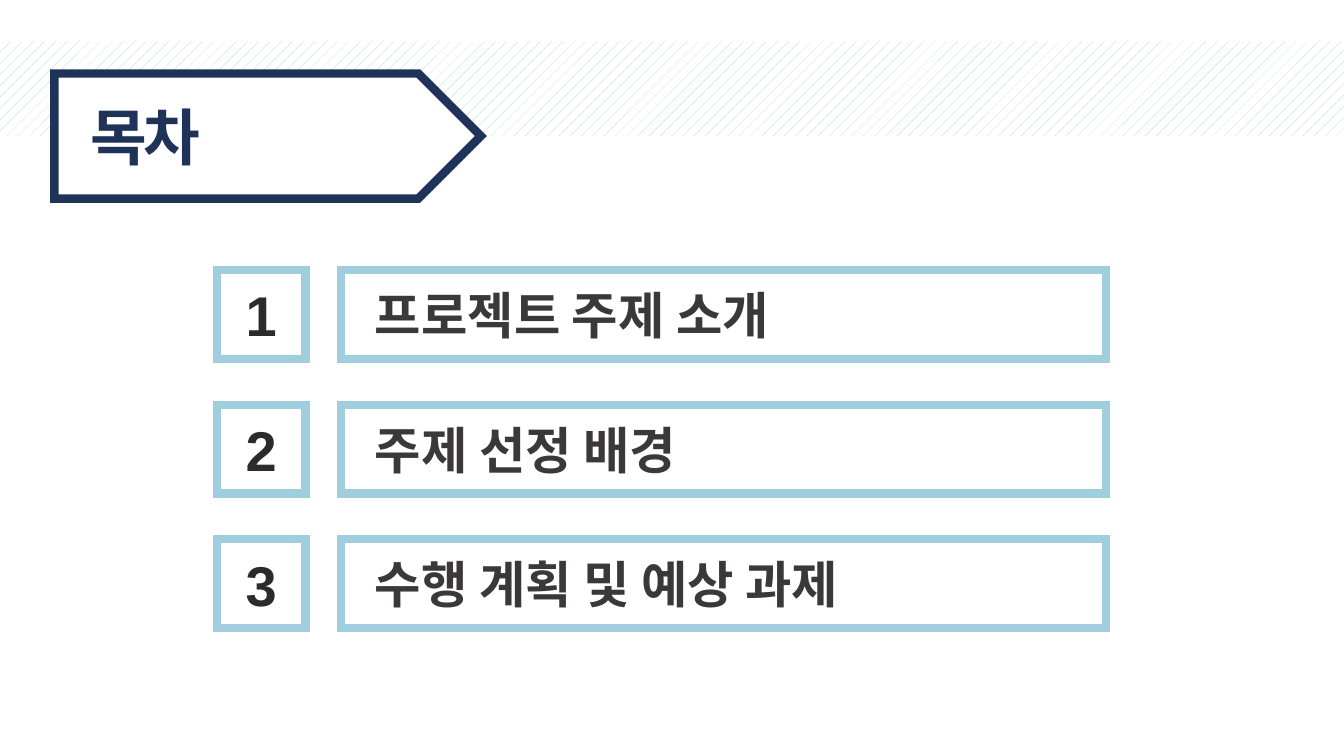
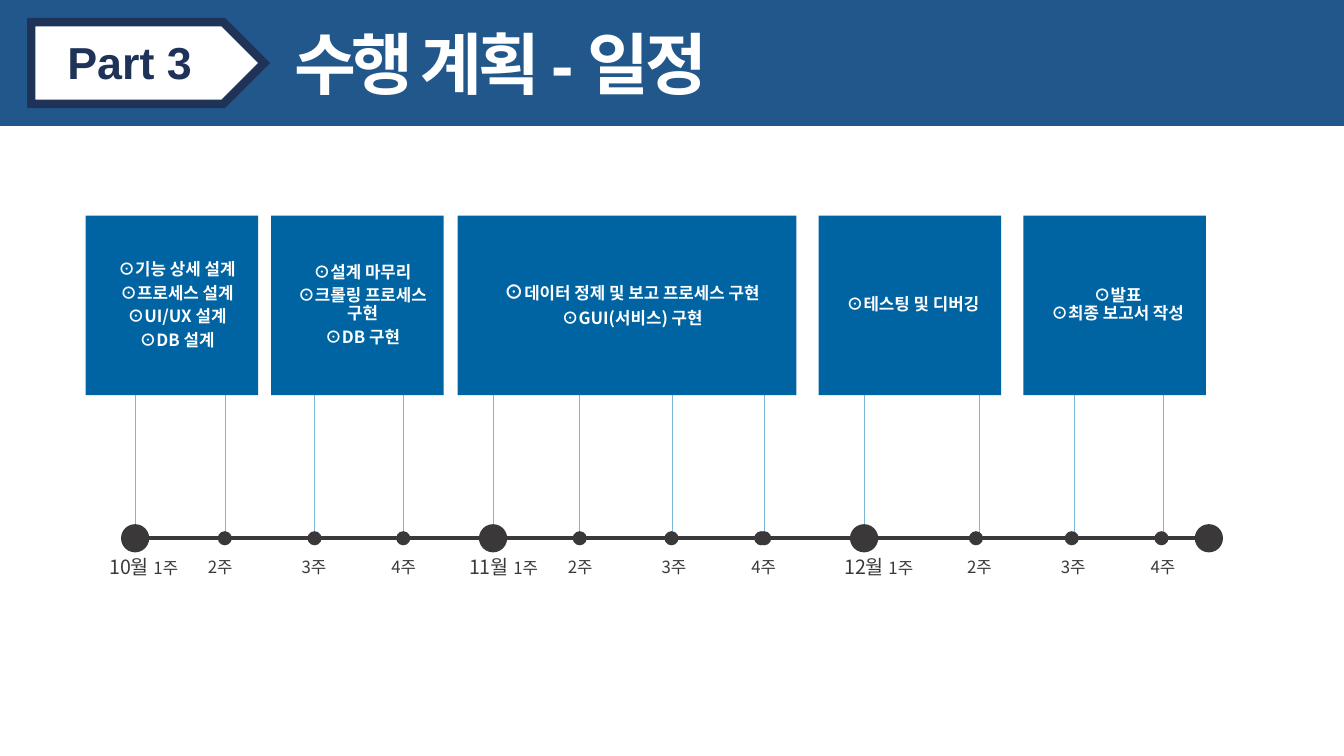
"""Build a contents slide and a project schedule slide."""
from copy import deepcopy

from lxml import etree
from pptx import Presentation
from pptx.dml.color import RGBColor
from pptx.enum.dml import MSO_PATTERN
from pptx.enum.shapes import MSO_CONNECTOR, MSO_SHAPE
from pptx.enum.text import MSO_ANCHOR, PP_ALIGN
from pptx.oxml.ns import qn
from pptx.util import Inches, Pt

RECT, PLATE, OVAL = MSO_SHAPE.RECTANGLE, MSO_SHAPE.PENTAGON, MSO_SHAPE.OVAL
STRAIGHT = MSO_CONNECTOR.STRAIGHT
DOTTED = MSO_PATTERN.PERCENT_10
TOP, MIDDLE = MSO_ANCHOR.TOP, MSO_ANCHOR.MIDDLE
LEFT, CENTER = PP_ALIGN.LEFT, PP_ALIGN.CENTER
ARIAL, NOTO = "Arial", "Noto Sans CJK KR"
COLORS = {name: RGBColor.from_string(value) for name, value in {
    "white": "FFFFFF", "navy": "1F3359", "sky": "A0CEDE", "band": "22578B",
    "task": "0064A2", "tick": "7BB6D4", "dark": "3A3838", "number": "2C2A2A",
}.items()}
UNIT = Inches(1)
PAGE_W, PAGE_H = 13.33, 7.5


def box(s, kind, x, y, w, h, fill="white", line=None):
    sp = s.shapes.add_shape(kind, *(int(v * UNIT) for v in (x, y, w, h)))
    sp.shadow.inherit = False
    sp.fill.solid()
    sp.fill.fore_color.rgb = COLORS[fill]
    if line:
        sp.line.color.rgb = COLORS[line]
        sp.line.width = Pt(6)
        etree.SubElement(sp.line._ln, qn("a:miter")).set("lim", "800000")
    else:
        sp.line.fill.background()
    return sp


def text(target, words, sizes, color, at=None, font=ARIAL, bold=True, align=LEFT,
         anchor=TOP, insets=(0.1, 0.05, 0.1, 0.05), wrap=False, leading=None,
         before=0, tracking=None):
    sp = target.shapes.add_textbox(*(int(v * UNIT) for v in at)) if at else target
    tf = sp.text_frame
    tf.word_wrap, tf.vertical_anchor = wrap, anchor
    tf.margin_left, tf.margin_top, tf.margin_right, tf.margin_bottom = (
        Inches(v) for v in insets)
    for i, row in enumerate(words.split("\n")):
        p = tf.paragraphs[0] if i == 0 else tf.add_paragraph()
        p.alignment, p.line_spacing, p.space_before = align, leading, Pt(before)
        runs = row.split("|")
        for run, size in zip(runs, sizes[-len(runs):]):
            for j, part in enumerate(run.split("\v")):
                if j:
                    p.add_line_break()
                    p._p[-1].append(deepcopy(r._r.rPr))
                r = p.add_run()
                r.text = part
                r.font.name, r.font.size, r.font.bold = font, Pt(size), bold
                r.font.color.rgb = COLORS[color]
                rpr = r._r.rPr
                etree.SubElement(rpr, qn("a:ea")).set("typeface", NOTO)
                if tracking:
                    rpr.set("spc", str(tracking * 100))


prs = Presentation()
prs.slide_width, prs.slide_height = Inches(PAGE_W), Inches(PAGE_H)
contents, schedule = (prs.slides.add_slide(prs.slide_layouts[6]) for _ in range(2))

stripe = box(contents, RECT, 0, 0.41, PAGE_W, 0.94)
stripe.fill.patterned()
stripe.fill.pattern = DOTTED
stripe.fill.fore_color.rgb = COLORS["sky"]
stripe.fill.back_color.rgb = COLORS["white"]
box(schedule, RECT, 0, 0, PAGE_W, PAGE_H / 6, "band")

for s, plate, words, at, size, tracking in [
    (contents, (0.54, 0.73, 4.23, 1.24), "목차", (0.8, 0.93, 1.35, 0.84), 44, -3),
    (schedule, (0.31, 0.22, 2.31, 0.81), "Part 3", (0.57, 0.3, 1.45, 0.64), 32, None),
]:
    box(s, PLATE, *plate, line="navy")
    text(s, words, [size], "navy", at, tracking=tracking)

TOPICS = [("프로젝트 주제 소개", 4.52), ("주제 선정 배경", 3.51),
          ("수행 계획 및 예상 과제", 5.31)]
for i, (topic, width) in enumerate(TOPICS):
    y = 2.68 + i * 1.335
    number = box(contents, RECT, 2.15, y, 0.88, 0.88, line="sky")
    text(number, str(i + 1), [40], "number", align=CENTER, anchor=MIDDLE)
    box(contents, RECT, 3.38, y, 7.59, 0.88, line="sky")
    text(contents, topic, [36], "dark", (3.62, y + 0.09, width, 0.71))

text(schedule, "수행 계획 - 일정", [48], "white", (2.82, 0.17, 4.79, 0.91), tracking=-3)

TASK_Y, TASK_H, AXIS_Y = 2.14, 1.78, 5.34
BIG, SMALL = 0.28, 0.14
MONTHS = [
    ("10월", 0.98, 1.82, [1.34, 2.24, 3.12, 4], [1.34, 2.23, 3.12, 4]),
    ("11월", 4.55, 5.39, [4.89, 5.75, 6.67, 7.58], [4.89, 5.75, 6.66, 7.55, 7.58]),
    ("12월", 8.27, 9.35, [8.57, 9.71, 10.66, 11.54], [8.57, 9.68, 10.63, 11.52]),
]
AXIS_START, AXIS_END = 1.34, 11.99
lines = [(x, AXIS_Y, x, TASK_Y + TASK_H, "tick", 0.5)
         for month in MONTHS for x in month[3]]
lines.append((AXIS_START, AXIS_Y, AXIS_END, AXIS_Y, "dark", 2.84))
for *ends, color, width in lines:
    cn = schedule.shapes.add_connector(STRAIGHT, *(int(v * UNIT) for v in ends))
    cn.line.color.rgb = COLORS[color]
    cn.line.width = Pt(width)
    etree.SubElement(cn._element.spPr, qn("a:effectLst"))

dots = [(AXIS_END, BIG)]
label = dict(font=NOTO, bold=False, align=CENTER, anchor=MIDDLE, insets=(0, 0, 0, 0),
             wrap=True, leading=0.9, before=10)
for month, month_x, week_x, _, (first, *others) in MONTHS:
    dots += [(first, BIG)] + [(x, SMALL) for x in others]
    text(schedule, f"{month} |1주", [14, 12], "dark", (month_x, 5.49, 0.89, 0.29), **label)
    for week, shift in enumerate((0, 0.93, 1.82), 2):
        text(schedule, f"{week}주", [12], "dark", (week_x + shift, 5.49, 0.73, 0.29), **label)
for x, size in dots:
    box(schedule, OVAL, x - size / 2, AXIS_Y - size / 2, size, size, "dark")

TASKS = [
    (0.85, 1.71, 0.2, "⊙기능 상세 설계\n⊙프로세스 설계\n⊙UI/UX 설계\n⊙DB 설계"),
    (2.69, 1.71, 0.2, "⊙설계 마무리\n⊙크롤링 프로세스 구현\n⊙DB 구현"),
    (4.54, 3.36, 0.2, "⊙|데이터 정제 및 보고 프로세스 구현\n⊙GUI(서비스) 구현"),
    (8.12, 1.81, 0.16, "⊙테스팅 및 디버깅"),
    (10.15, 1.81, 0.16, "⊙발표\v⊙최종 보고서 작성"),
]
for x, width, inset, words in TASKS:
    task = box(schedule, RECT, x, TASK_Y, width, TASK_H, "task")
    text(task, words, [14, 12], "white", font=NOTO, align=CENTER, anchor=MIDDLE,
         insets=(inset, 0.05, 0.1, 0.05), wrap=True, leading=0.9, before=4)

prs.save("out.pptx")
